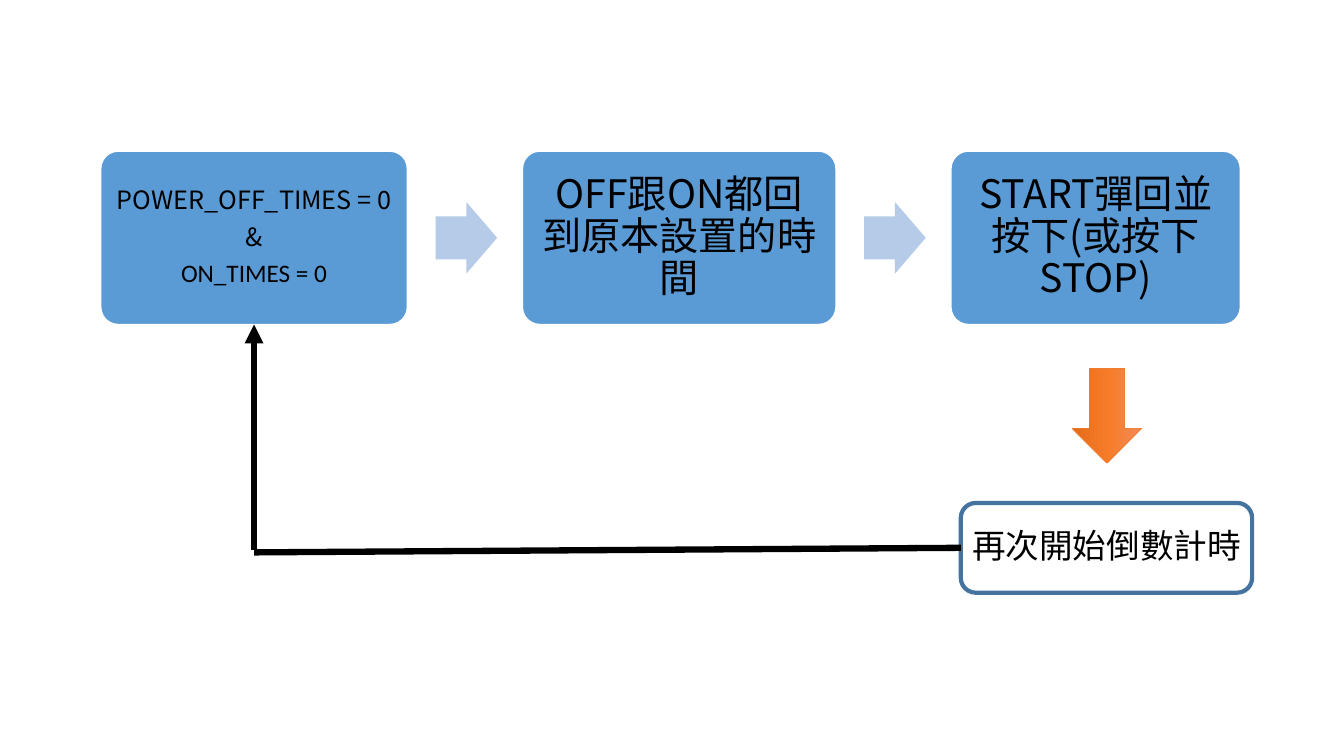
from copy import deepcopy
from dataclasses import dataclass

from lxml import etree
from pptx import Presentation
from pptx.dml.color import RGBColor
from pptx.enum.shapes import MSO_CONNECTOR as Connector, MSO_SHAPE as Preset
from pptx.enum.text import MSO_ANCHOR as Anchor, PP_ALIGN as Align
from pptx.oxml.ns import qn
from pptx.shapes.autoshape import Shape
from pptx.shapes.connector import Connector as Line
from pptx.slide import Slide
from pptx.util import Inches, Pt

WIDTH, HEIGHT = Inches(13.33), Inches(7.5)

BLACK = RGBColor(0x00, 0x00, 0x00)
WHITE = RGBColor(0xFF, 0xFF, 0xFF)
STEP_BLUE = RGBColor(0x5B, 0x9B, 0xD5)
ARROW_BLUE = RGBColor(0xB5, 0xCB, 0xE7)
FRAME_BLUE = RGBColor(0x43, 0x73, 0x9E)
ORANGE = RGBColor(0xED, 0x7D, 0x31)
ORANGE_STOPS = (
    (0, RGBColor(0xF1, 0x8C, 0x57)),
    (0.5, RGBColor(0xF6, 0x7B, 0x28)),
    (1, RGBColor(0xE5, 0x6C, 0x19)),
)

CJK_FONT, LATIN_FONT = "Noto Sans CJK SC", "Calibri"

# Shares of the slide's width (x) and height (y)
LEFT, STEP_TOP, STEP_HEIGHT = 0.075, 0.2, 0.2293
ARROW_WIDTH, ARROW_HEIGHT = 0.0458, 0.0947
GAP_BEFORE, GAP_AFTER = 0.021, 0.0188
CORNER_Y = 0.7307


@dataclass(frozen=True)
class Area:
    x: float
    y: float
    width: float
    height: float


@dataclass(frozen=True)
class Caption:
    lines: tuple[tuple[str, str], ...]
    size: float
    inset: float


@dataclass(frozen=True)
class Step:
    width: float
    caption: Caption


STEPS = (
    Step(0.2281, Caption((("POWER_OFF_TIMES = 0", CJK_FONT), ("&", CJK_FONT),
                          ("ON_TIMES = 0", LATIN_FONT)), 18, 0.07)),
    Step(0.2333, Caption((("OFF跟ON都回到原本設置的時間", CJK_FONT),), 28, 0.12)),
    Step(0.2153, Caption((("START彈回並按下(或按下STOP)", CJK_FONT),), 28, 0.12)),
)
RESTART = Caption((("再次開始倒數計時", CJK_FONT),), 24, 0)
RESTART_AREA = Area(0.7149, 0.6653, 0.2168, 0.1187)
DOWN_AREA = Area(0.7884, 0.504, 0.0705, 0.092)


def add_preset(page: Slide, preset: Preset, area: Area, *adjustments: float) -> Shape:
    shape = page.shapes.add_shape(
        preset, round(area.x * WIDTH), round(area.y * HEIGHT),
        round(area.width * WIDTH), round(area.height * HEIGHT))
    shape.shadow.inherit = False
    for index, value in enumerate(adjustments):
        shape.adjustments[index] = value
    return shape


def paint(shape: Shape, color: RGBColor) -> None:
    shape.fill.solid()
    shape.fill.fore_color.rgb = color


def outline(shape: Shape | Line, color: RGBColor, width: float) -> None:
    shape.line.color.rgb = color
    shape.line.width = Pt(width)


def write(box: Shape, caption: Caption, wrap: bool = True) -> None:
    frame = box.text_frame
    frame.word_wrap = wrap
    frame.vertical_anchor = Anchor.MIDDLE
    frame.margin_left = frame.margin_right = Inches(caption.inset)
    frame.margin_top = frame.margin_bottom = Inches(caption.inset)
    for index, (text, font) in enumerate(caption.lines):
        para = frame.add_paragraph() if index else frame.paragraphs[0]
        para.alignment = Align.CENTER
        para.line_spacing = 0.9
        para.space_after = Pt(0.35 * caption.size)
        span = para.add_run()
        span.text = text
        span.font.name = font
        span.font.size = Pt(caption.size)
        span.font.color.rgb = BLACK
        east_asian = etree.SubElement(span.font._element, qn("a:ea"))
        east_asian.set("typeface", CJK_FONT)


def add_steps(page: Slide) -> list[Shape]:
    boxes, x = [], LEFT
    for step in STEPS:
        if boxes:
            x += GAP_BEFORE
            arrow_y = STEP_TOP + (STEP_HEIGHT - ARROW_HEIGHT) / 2
            arrow = add_preset(page, Preset.RIGHT_ARROW,
                               Area(x, arrow_y, ARROW_WIDTH, ARROW_HEIGHT), 0.6, 0.5)
            paint(arrow, ARROW_BLUE)
            arrow.line.fill.background()
            x += ARROW_WIDTH + GAP_AFTER
        box = add_preset(page, Preset.ROUNDED_RECTANGLE,
                         Area(x, STEP_TOP, step.width, STEP_HEIGHT), 0.1)
        paint(box, STEP_BLUE)
        outline(box, WHITE, 1)
        write(box, step.caption)
        boxes.append(box)
        x += step.width
    return boxes


def add_down_arrow(page: Slide) -> None:
    arrow = add_preset(page, Preset.RIGHT_ARROW, DOWN_AREA)
    arrow.rotation = 90
    outline(arrow, ORANGE, 0.5)
    arrow.fill.gradient()
    arrow.fill.gradient_angle = 270
    stop_list = arrow._element.spPr.find(qn("a:gradFill")).find(qn("a:gsLst"))
    stop_list.append(deepcopy(stop_list[0]))
    for stop, (position, color) in zip(arrow.fill.gradient_stops, ORANGE_STOPS):
        stop.position = position
        stop.color.rgb = color


def add_restart(page: Slide) -> Shape:
    box = add_preset(page, Preset.ROUNDED_RECTANGLE, RESTART_AREA)
    box.fill.background()
    outline(box, FRAME_BLUE, 3)
    write(box, RESTART, wrap=False)
    return box


def add_line(page: Slide, x: int, y: int) -> Line:
    line = page.shapes.add_connector(Connector.STRAIGHT, x, y, x, y)
    outline(line, BLACK, 4.5)
    etree.SubElement(line._element.spPr, qn("a:effectLst"))
    return line


def add_return_path(page: Slide, start: Shape, target: Shape) -> None:
    corner_x, corner_y = target.left + target.width // 2, round(CORNER_Y * HEIGHT)
    along = add_line(page, corner_x, corner_y)
    along.begin_connect(start, 1)
    upward = add_line(page, corner_x, corner_y - Inches(0.02))
    upward.end_connect(target, 2)
    etree.SubElement(upward.line._get_or_add_ln(), qn("a:tailEnd")).set("type", "triangle")


def main() -> None:
    deck = Presentation()
    deck.slide_width, deck.slide_height = WIDTH, HEIGHT
    page = deck.slides.add_slide(deck.slide_layouts[6])

    # Row of steps, then the way down
    boxes = add_steps(page)
    add_down_arrow(page)

    # Restart box and the path back to the first step
    restart = add_restart(page)
    add_return_path(page, restart, boxes[0])
    deck.save("out.pptx")


if __name__ == "__main__":
    main()
